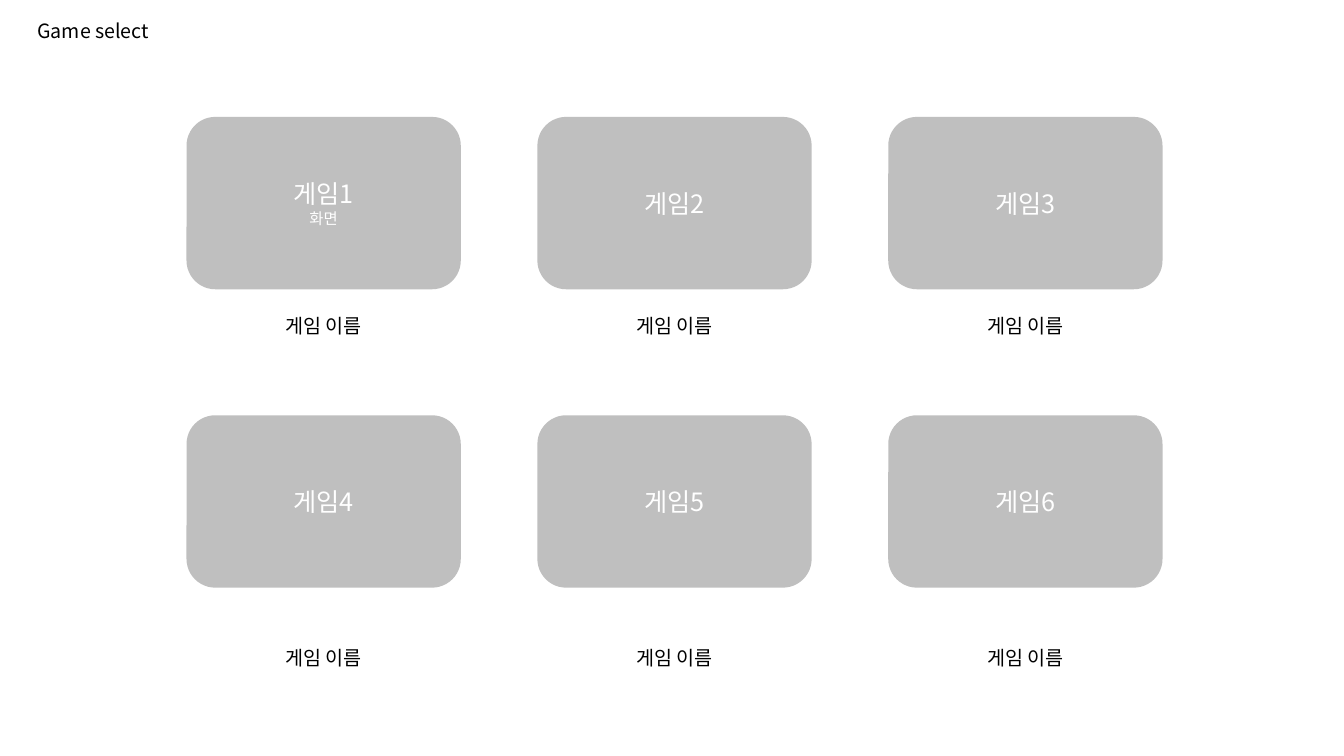
from dataclasses import dataclass

from lxml import etree
from pptx import Presentation
from pptx.dml.color import RGBColor
from pptx.enum import shapes, text
from pptx.oxml import ns
from pptx.util import Inches, Pt


@dataclass(frozen=True)
class Theme:
    """Font, colours and type sizes of the slide."""
    font: str = "Noto Sans CJK KR"
    card: str = "BFBFBF"
    light: str = "FFFFFF"
    dark: str = "000000"
    label: int = 14
    game: int = 18
    note: int = 11


THEME = Theme()
LEFT, STEP, WIDE, HIGH = 1.85, 3.48, 2.72, 1.71
LINE = 0.34
ROWS = [(1.16, 3.07), (4.12, 6.36)]
COLS = 3


def add_run(para, words, size, color):
    """Add one styled run to a paragraph."""
    run = para.add_run()
    run.text = words
    run.font.size = Pt(size)
    run.font.color.rgb = RGBColor.from_string(color)
    run.font.name = THEME.font
    east = etree.SubElement(run.font._element, ns.qn("a:ea"))
    east.set("typeface", THEME.font)


def fill_frame(frame, lines, color, align, anchor):
    """Write (words, size) lines into a text frame."""
    frame.word_wrap = True
    frame.vertical_anchor = anchor
    for i, (words, size) in enumerate(lines):
        para = frame.paragraphs[0] if i == 0 else frame.add_paragraph()
        para.alignment = align
        add_run(para, words, size, color)


def fill_label(shape, words, align):
    """Write one dark line into a box that grows with its text."""
    fill_frame(shape.text_frame, [(words, THEME.label)], THEME.dark,
               align, text.MSO_ANCHOR.TOP)
    shape.text_frame.auto_size = text.MSO_AUTO_SIZE.SHAPE_TO_FIT_TEXT


def set_title(slide, words):
    """Place and write the slide title."""
    title = slide.shapes.title
    title.left, title.top = Inches(0.27), Inches(0.14)
    title.width, title.height = Inches(1.39), Inches(LINE)
    fill_label(title, words, text.PP_ALIGN.LEFT)


def add_card(slide, x, y, lines):
    """Add a rounded grey game card."""
    card = slide.shapes.add_shape(
        shapes.MSO_SHAPE.ROUNDED_RECTANGLE,
        Inches(x), Inches(y), Inches(WIDE), Inches(HIGH))
    card.shadow.inherit = False
    card.fill.solid()
    card.fill.fore_color.rgb = RGBColor.from_string(THEME.card)
    card.line.fill.background()
    fill_frame(card.text_frame, lines, THEME.light,
               text.PP_ALIGN.CENTER, text.MSO_ANCHOR.MIDDLE)


def add_label(slide, x, y, words):
    """Add a centred caption below a card."""
    box = slide.shapes.add_textbox(
        Inches(x), Inches(y), Inches(WIDE), Inches(LINE))
    fill_label(box, words, text.PP_ALIGN.CENTER)


def main():
    """Build the game selection slide."""
    deck = Presentation()
    deck.slide_width, deck.slide_height = Inches(13.33), Inches(7.5)
    slide = deck.slides.add_slide(
        deck.slide_layouts.get_by_name("Title Only"))
    set_title(slide, "Game select")
    for row, (top, below) in enumerate(ROWS):
        for col in range(COLS):
            num = row * COLS + col + 1
            x = LEFT + col * STEP
            lines = [(f"게임{num}", THEME.game)]
            if num == 1:
                lines.append(("화면", THEME.note))
            add_card(slide, x, top, lines)
            add_label(slide, x, below, "게임 이름")
    deck.save("out.pptx")


if __name__ == "__main__":
    main()
